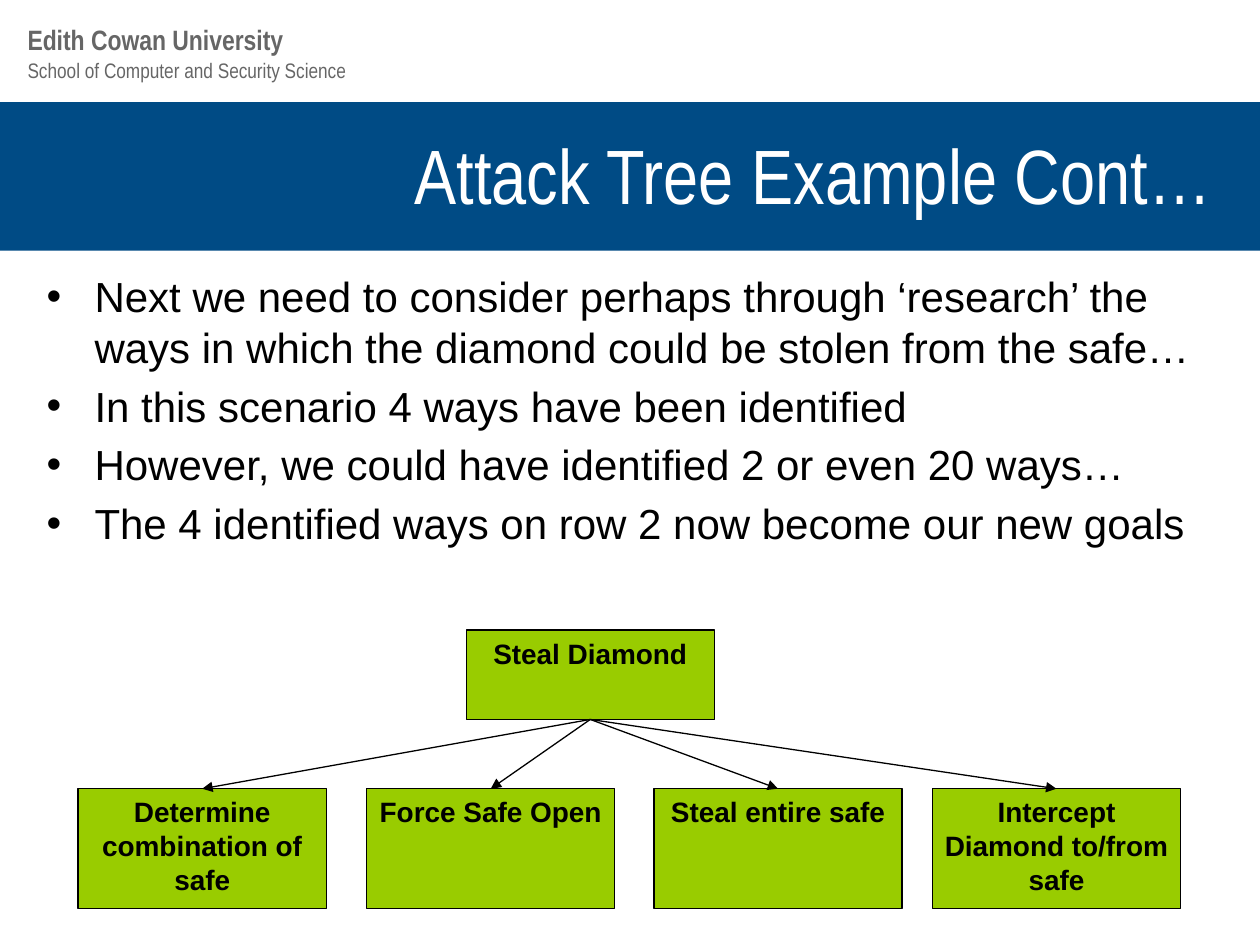
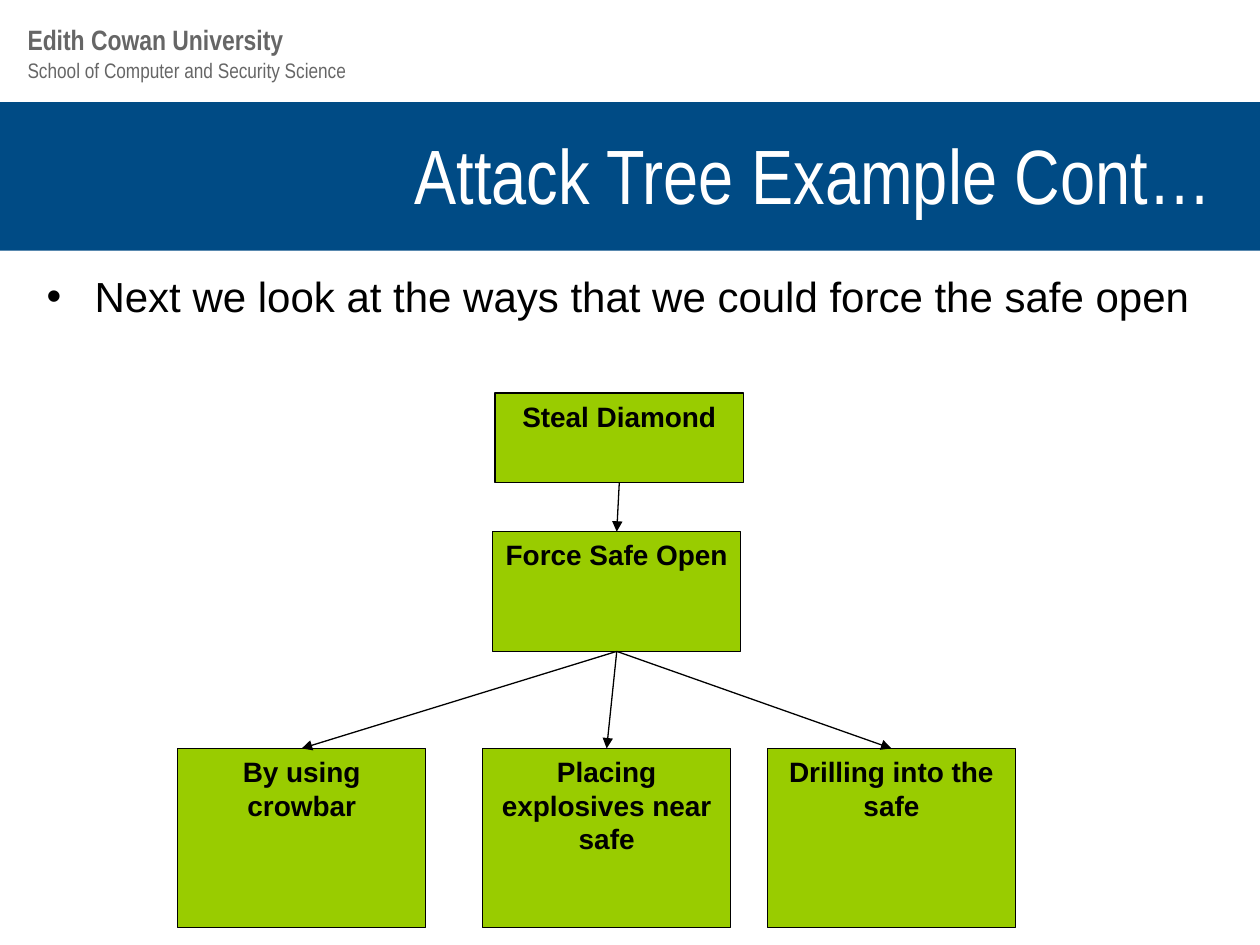
from dataclasses import dataclass

import pptx
import pptx.dml.color
import pptx.enum.shapes
import pptx.enum.text
import pptx.oxml
import pptx.oxml.ns
import pptx.util
from pptx.util import Inches

ALIGN = pptx.enum.text.PP_ALIGN
ANCHOR = pptx.enum.text.MSO_ANCHOR


@dataclass(frozen=True)
class Theme:
    band: str = "004B85"
    node: str = "99CC00"
    ink: str = "000000"
    header: str = "666666"
    title: str = "FFFFFF"
    narrow_font: str = "Arial Narrow"
    body_font: str = "Arial"
    title_size: int = 44
    body_size: int = 24
    label_size: int = 16
    small_size: int = 12
    line_width: float = 0.75


THEME = Theme()
NODE_WIDTH = 1.97
LIST_INDENT = Inches(0.38)


@dataclass(frozen=True)
class Node:
    """A goal in the attack tree; parent is the text of the goal above it."""
    text: str
    left: float
    top: float
    height: float
    parent: str = ""


@dataclass(frozen=True)
class TreePage:
    bullets: list[str]
    body_height: float
    nodes: list[Node]


def row(top: float, height: float, parent: str, goals: dict[str, float]) -> list[Node]:
    """Goals side by side under one parent, each text with its left edge."""
    return [Node(text, left, top, height, parent) for text, left in goals.items()]


TITLE = "Attack Tree Example Cont…"
PAGES = [
    TreePage(
        ["Next we need to consider perhaps through ‘research’ the ways in which "
         "the diamond could be stolen from the safe…",
         "In this scenario 4 ways have been identified",
         "However, we could have identified 2 or even 20 ways…",
         "The 4 identified ways on row 2 now become our new goals"],
        5.12,
        [Node("Steal Diamond", 3.7, 5, 0.71),
         *row(6.26, 0.95, "Steal Diamond", {
             "Determine combination of safe": 0.62,
             "Force Safe Open": 2.91,
             "Steal entire safe": 5.19,
             "Intercept Diamond to/from safe": 7.4})],
    ),
    TreePage(
        ["Next we look at the ways that we could force the safe open"],
        0.64,
        [Node("Steal Diamond", 3.93, 3.12, 0.71),
         Node("Force Safe Open", 3.91, 4.22, 0.95, "Steal Diamond"),
         *row(5.94, 1.42, "Force Safe Open", {
             "By using crowbar": 1.41,
             "Placing explosives near safe": 3.83,
             "Drilling into the safe": 6.09})],
    ),
]


def rgb(value: str) -> pptx.dml.color.RGBColor:
    return pptx.dml.color.RGBColor.from_string(value)


def place(shape, left: float, top: float, width: float, height: float) -> None:
    shape.left, shape.top = Inches(left), Inches(top)
    shape.width, shape.height = Inches(width), Inches(height)


def add_bullet(paragraph) -> None:
    properties = paragraph._p.get_or_add_pPr()
    properties.set("marL", str(LIST_INDENT))
    properties.set("indent", str(-LIST_INDENT))
    namespace = pptx.oxml.ns.nsdecls("a")
    for markup in (f'<a:buFont {namespace} typeface="Arial"/>',
                   f'<a:buChar {namespace} char="•"/>'):
        properties.append(pptx.oxml.parse_xml(markup))


def write(box, *lines: str, size: int, color: str, font: str = THEME.body_font,
          bold: bool = False, align=ALIGN.LEFT, anchor=ANCHOR.TOP,
          bulleted: bool = False) -> None:
    """Fill a shape with one paragraph per line, all in the same format."""
    frame = box.text_frame
    frame.word_wrap = True
    frame.auto_size = pptx.enum.text.MSO_AUTO_SIZE.NONE
    frame.vertical_anchor = anchor
    for number, line in enumerate(lines):
        para = frame.add_paragraph() if number else frame.paragraphs[0]
        if bulleted:
            add_bullet(para)
        para.alignment = align
        para.space_before = pptx.util.Pt(size * 0.2 if number else 0)
        span = para.add_run()
        span.text = line
        span.font.name = font
        span.font.size = pptx.util.Pt(size)
        span.font.bold = bold
        span.font.color.rgb = rgb(color)


def add_rectangle(page, left: float, top: float, width: float, height: float,
                  fill: str):
    shape = page.shapes.add_shape(
        pptx.enum.shapes.MSO_SHAPE.RECTANGLE,
        Inches(left), Inches(top), Inches(width), Inches(height))
    shape.shadow.inherit = False
    shape.fill.solid()
    shape.fill.fore_color.rgb = rgb(fill)
    shape.line.fill.background()
    return shape


def add_header_text(page, text: str, top: float, height: float, size: int,
                    bold: bool = False):
    box = page.shapes.add_textbox(Inches(0.12), Inches(top), Inches(5.89), Inches(height))
    write(box, text, size=size, color=THEME.header, font=THEME.narrow_font, bold=bold)
    return box


def dress_layout(layout, page) -> None:
    """Build the band and header on a page, then move them behind the layout's text."""
    for placeholder in list(layout.placeholders):
        if placeholder.placeholder_format.idx > 1:
            layout.shapes.element.remove(placeholder.element)
    decorations = [
        add_rectangle(page, 0, 0.81, 10, 1.18, THEME.band),
        add_header_text(page, "School of Computer and Security Science", 0.41, 0.3,
                        THEME.small_size),
        add_header_text(page, "Edith Cowan University", 0.13, 0.37,
                        THEME.label_size, bold=True),
    ]
    for position, shape in enumerate(decorations, start=2):
        layout.shapes.element.insert(position, shape.element)


def add_node(page, node: Node):
    box = add_rectangle(page, node.left, node.top, NODE_WIDTH, node.height, THEME.node)
    box.line.color.rgb = rgb(THEME.ink)
    box.line.width = pptx.util.Pt(THEME.line_width)
    write(box, node.text, size=THEME.label_size, color=THEME.ink, bold=True,
          align=ALIGN.CENTER)
    return box


def add_arrow(page, parent, child) -> None:
    """Join the bottom of the parent to the top of the child."""
    arrow = page.shapes.add_connector(
        pptx.enum.shapes.MSO_CONNECTOR.STRAIGHT, 0, 0, 0, 0)
    arrow.begin_connect(parent, 2)
    arrow.end_connect(child, 0)
    arrow.line.color.rgb = rgb(THEME.ink)
    arrow.line.width = pptx.util.Pt(THEME.line_width)
    namespace = pptx.oxml.ns.nsdecls("a")
    arrow.line._get_or_add_ln().append(
        pptx.oxml.parse_xml(f'<a:tailEnd {namespace} type="triangle"/>'))
    arrow.element.spPr.append(pptx.oxml.parse_xml(f"<a:effectLst {namespace}/>"))


def fill_page(page, content: TreePage) -> None:
    title, body = page.shapes.title, page.placeholders[1]
    place(title, 0.27, 0.83, 9.45, 1.09)
    write(title, TITLE, size=THEME.title_size, color=THEME.title,
          font=THEME.narrow_font, align=ALIGN.RIGHT, anchor=ANCHOR.MIDDLE)
    place(body, 0.27, 2.1, 9.45, content.body_height)
    write(body, *content.bullets, size=THEME.body_size, color=THEME.ink, bulleted=True)

    boxes = {node.text: add_node(page, node) for node in content.nodes}
    for node in content.nodes:
        if node.parent:
            add_arrow(page, boxes[node.parent], boxes[node.text])


def main() -> None:
    deck = pptx.Presentation()
    deck.slide_width, deck.slide_height = Inches(10), Inches(7.5)
    layout = deck.slide_layouts[1]
    pages = [deck.slides.add_slide(layout) for _ in PAGES]
    dress_layout(layout, pages[0])
    for page, content in zip(pages, PAGES):
        fill_page(page, content)
    deck.save("out.pptx")


if __name__ == "__main__":
    main()
